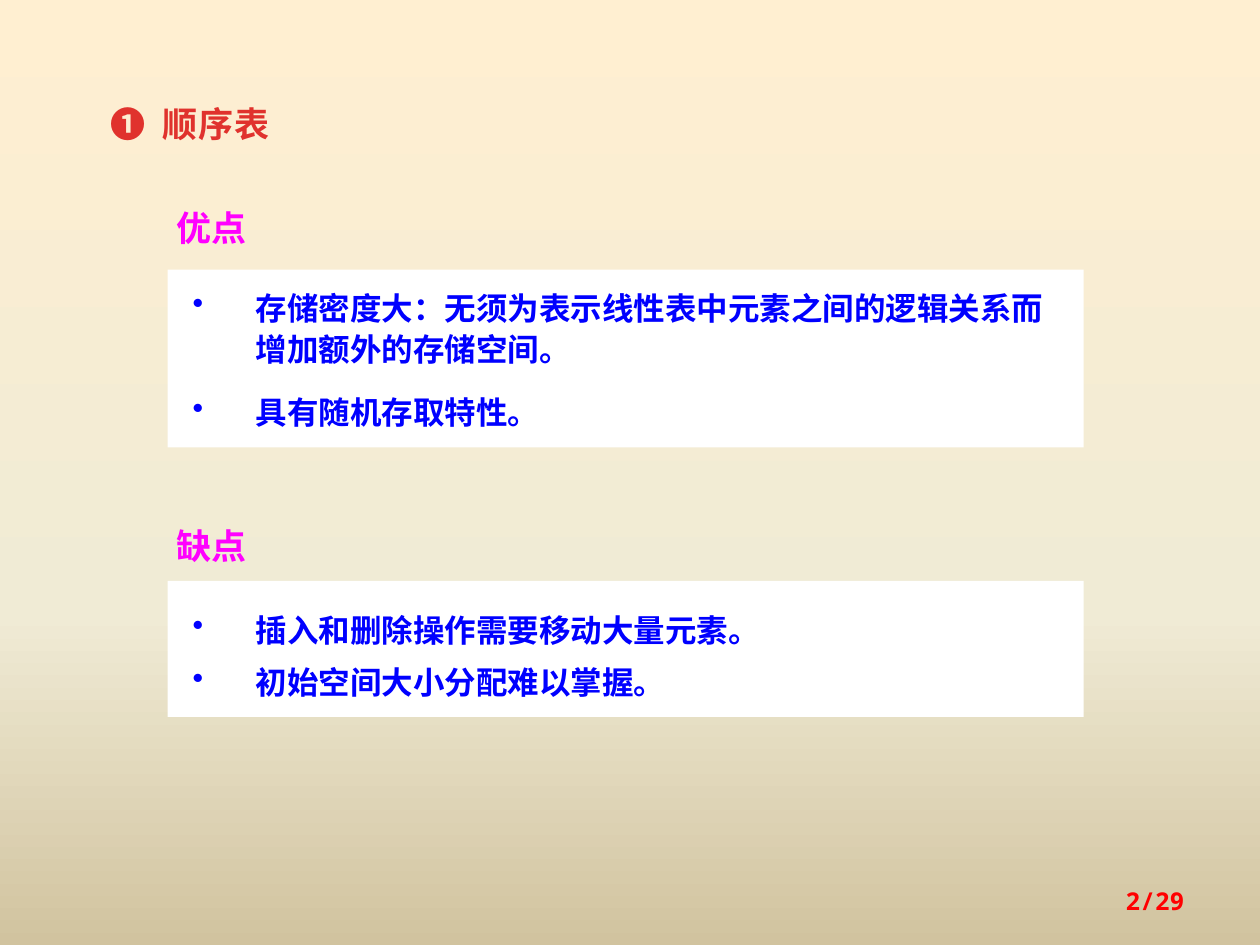
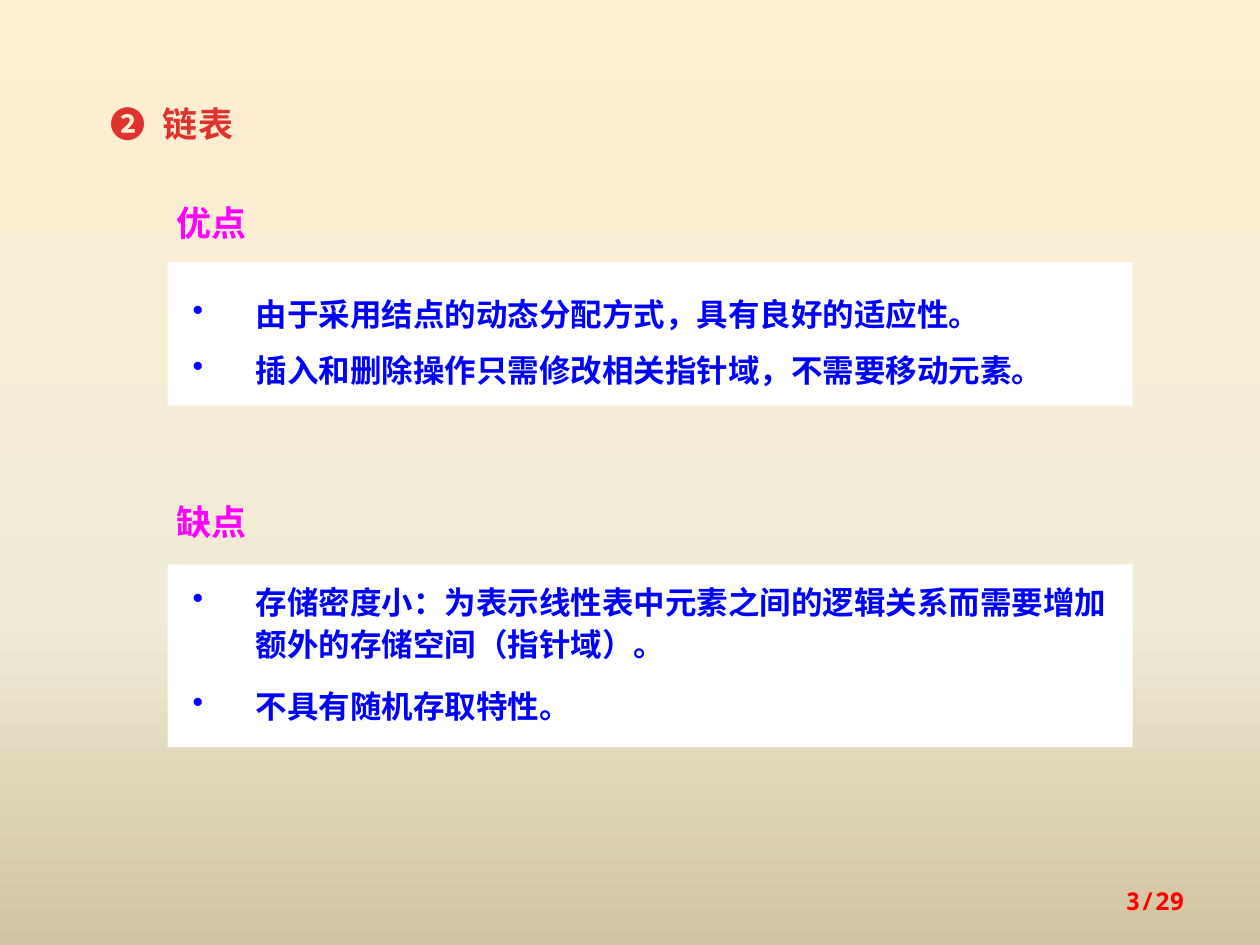
from lxml import etree
from pptx import Presentation
from pptx.dml.color import RGBColor
from pptx.enum.shapes import MSO_SHAPE
from pptx.enum.text import MSO_ANCHOR, MSO_AUTO_SIZE, PP_ALIGN
from pptx.oxml.ns import qn
from pptx.util import Inches, Pt

RECT = MSO_SHAPE.RECTANGLE
TOP, MIDDLE = MSO_ANCHOR.TOP, MSO_ANCHOR.MIDDLE
LEFT, CENTER, RIGHT = PP_ALIGN.LEFT, PP_ALIGN.CENTER, PP_ALIGN.RIGHT

SANS, MONO = "Noto Sans CJK SC", "Noto Sans Mono"
RED, MAGENTA, BLUE, WHITE, PAGE_RED = "E0322D", "FF00FF", "0000FF", "FFFFFF", "FF0000"
BACKGROUND = [(0, "FFEFD1"), (65, "F0EBD5"), (100, "D1C39F")]
TITLE_INDENT, BULLET_INDENT = 0.41, 0.5
TOTAL_PAGES = 29

# title, page, box width, sections: (label, label top, box top, box height,
# line spacing, space between points, points)
SLIDES = [
    ("❶\t顺序表", 2, 7.27, [
        ("优点", 1.56, 2.14, 1.41, 1.1, 12, [
            "存储密度大：无须为表示线性表中元素之间的逻辑关系而增加额外的存储空间。",
            "具有随机存取特性。"]),
        ("缺点", 4.08, 4.61, 1.08, Pt(30), 0, [
            "插入和删除操作需要移动大量元素。",
            "初始空间大小分配难以掌握。"]),
    ]),
    ("❷\t链表", 3, 7.66, [
        ("优点", 1.52, 2.08, 1.14, Pt(32), 0, [
            "由于采用结点的动态分配方式，具有良好的适应性。",
            "插入和删除操作只需修改相关指针域，不需要移动元素。"]),
        ("缺点", 3.89, 4.48, 1.45, 1.1, 12, [
            "存储密度小：为表示线性表中元素之间的逻辑关系而需要增加额外的存储空间（指针域）。",
            "不具有随机存取特性。"]),
    ]),
]


def rgb(color):
    return RGBColor.from_string(color)


def write(p, text, size, font, color, align=LEFT, line_spacing=1.0, indent=0):
    """Add one bold run to a paragraph and return the run."""
    p.alignment, p.line_spacing = align, line_spacing
    if indent:
        pPr = p._p.get_or_add_pPr()
        pPr.set("marL", str(Inches(indent)))
        pPr.set("indent", str(-Inches(indent)))
    r = p.add_run()
    r.text = text
    r.font.size, r.font.name, r.font.bold = Pt(size), font, True
    r.font.color.rgb = rgb(color)
    etree.SubElement(r._r.rPr, qn("a:ea")).set("typeface", font)
    return r


prs = Presentation()
prs.slide_width, prs.slide_height = Inches(10), Inches(7.5)

# Shared background, top to bottom
fill = prs.slide_master.background.fill
fill.gradient()
fill.gradient_angle = 270
stops = fill._fill._gradFill.find(qn("a:gsLst"))
for stop in list(stops):
    stops.remove(stop)
for position, color in BACKGROUND:
    stop = etree.SubElement(stops, qn("a:gs"))
    stop.set("pos", str(position * 1000))
    etree.SubElement(stop, qn("a:srgbClr")).set("val", color)

for title, page, box_width, sections in SLIDES:
    s = prs.slides.add_slide(prs.slide_layouts[5])

    sp = s.shapes.title
    sp.left, sp.top, sp.width, sp.height = [Inches(v) for v in (0.78, 0.73, 2.19, 0.44)]
    tf = sp.text_frame
    tf.vertical_anchor, tf.auto_size = TOP, MSO_AUTO_SIZE.NONE
    r = write(tf.paragraphs[0], title, 20, SANS, RED, LEFT, 1.1, TITLE_INDENT)
    r._r.rPr.set("spc", "50")

    for label, label_top, box_top, box_height, line_spacing, gap, points in sections:
        group = s.shapes.add_group_shape()
        box = group.shapes.add_shape(RECT, Inches(1.33), Inches(box_top),
                                     Inches(box_width), Inches(box_height))
        box.shadow.inherit = False
        box.fill.solid()
        box.fill.fore_color.rgb = rgb(WHITE)
        box.line.fill.background()
        tf = box.text_frame
        tf.word_wrap, tf.vertical_anchor = True, TOP
        tf.margin_left, tf.margin_right = Inches(0.2), Inches(0.1)
        tf.margin_top = tf.margin_bottom = Inches(0.12)
        for i, point in enumerate(points):
            p = tf.add_paragraph() if i else tf.paragraphs[0]
            p.space_before = Pt(gap if i else 0)
            write(p, point, 18, MONO, BLUE, LEFT, line_spacing, BULLET_INDENT)
            etree.SubElement(p._p.pPr, qn("a:buChar")).set("char", "•")

        sp = group.shapes.add_textbox(Inches(1.17), Inches(label_top), Inches(1.02), Inches(0.45))
        sp.text_frame.word_wrap = True
        write(sp.text_frame.paragraphs[0], label, 20, SANS, MAGENTA, CENTER, 1.1)

    sp = s.shapes.add_textbox(Inches(7.17), Inches(6.95), Inches(2.33), Inches(0.4))
    tf = sp.text_frame
    tf.word_wrap, tf.vertical_anchor = True, MIDDLE
    write(tf.paragraphs[0], f"{page}/{TOTAL_PAGES}", 14, MONO, PAGE_RED, RIGHT)

prs.save("out.pptx")
